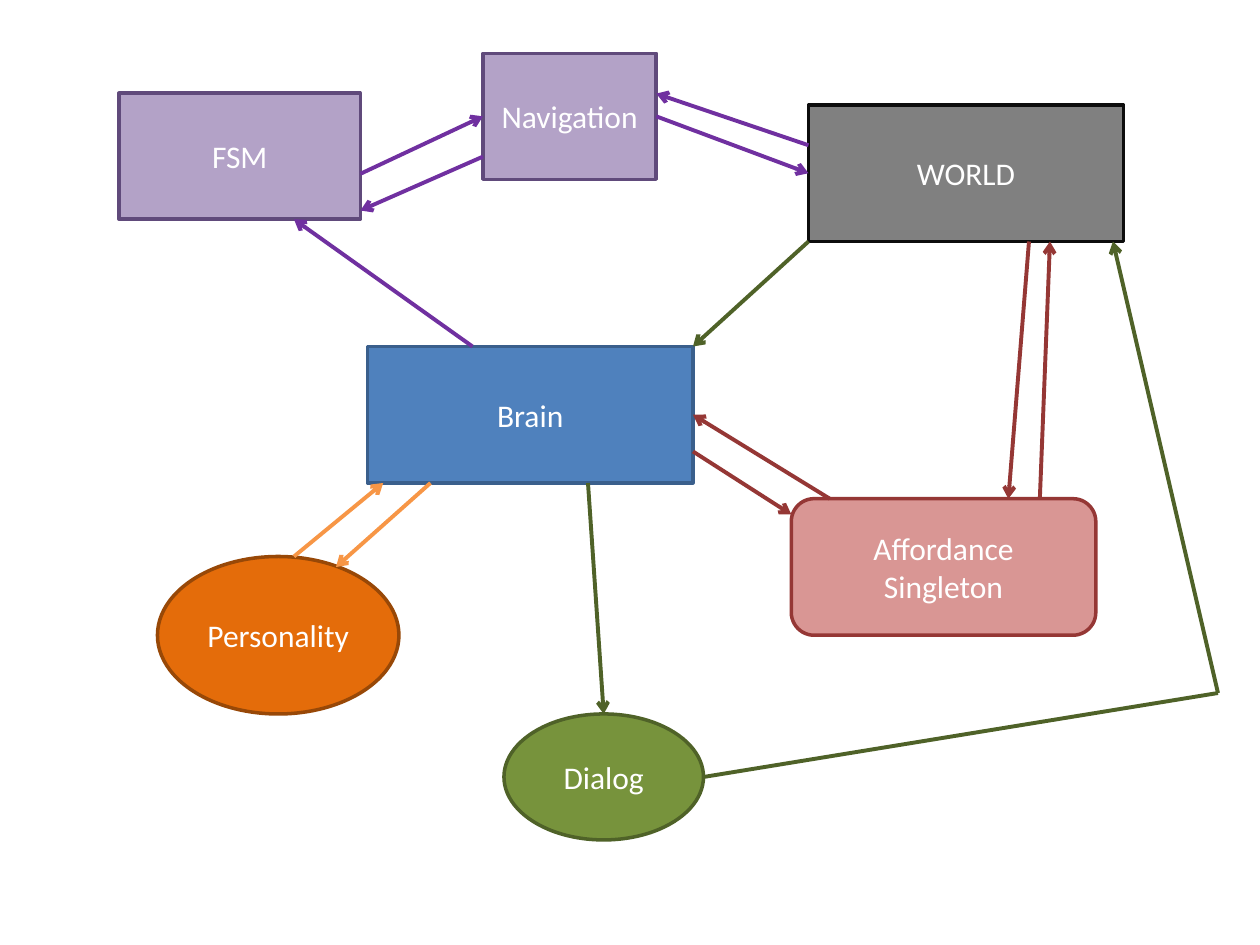
from lxml import etree
from pptx import Presentation
from pptx.dml.color import RGBColor
from pptx.enum import shapes, text
from pptx.oxml import ns
from pptx.util import Pt

WHITE = RGBColor(0xFF, 0xFF, 0xFF)
BLUE, BLUE_EDGE = RGBColor(0x4F, 0x81, 0xBD), RGBColor(0x3A, 0x5F, 0x8C)
ORANGE, ORANGE_EDGE = RGBColor(0xE4, 0x6C, 0x0A), RGBColor(0x98, 0x48, 0x07)
PINK, RED = RGBColor(0xD9, 0x96, 0x94), RGBColor(0x95, 0x37, 0x35)
LILAC, LILAC_EDGE = RGBColor(0xB3, 0xA2, 0xC7), RGBColor(0x60, 0x4A, 0x7B)
GREY, BLACK = RGBColor(0x80, 0x80, 0x80), RGBColor(0x0D, 0x0D, 0x0D)
GREEN, DARK_GREEN = RGBColor(0x77, 0x93, 0x3C), RGBColor(0x4F, 0x62, 0x28)
PURPLE, LIGHT_ORANGE = RGBColor(0x70, 0x30, 0xA0), RGBColor(0xF7, 0x96, 0x46)

RECT = shapes.MSO_SHAPE.RECTANGLE
ROUND = shapes.MSO_SHAPE.ROUNDED_RECTANGLE
OVAL = shapes.MSO_SHAPE.OVAL

LABEL_FONT = {"name": "Calibri", "size": Pt(18)}
LABEL_FRAME = {"word_wrap": True, "vertical_anchor": text.MSO_ANCHOR.MIDDLE}

# name: preset, (left, top, width, height) in points, fill, edge
NODES = {
    "Brain": (RECT, (210, 198, 186, 78), BLUE, BLUE_EDGE),
    "Personality": (OVAL, (90, 318, 138, 90), ORANGE, ORANGE_EDGE),
    "Affordance Singleton": (ROUND, (452.2, 285, 174, 78), PINK, RED),
    "FSM": (RECT, (68, 53.3, 138, 72), LILAC, LILAC_EDGE),
    "WORLD": (RECT, (462, 60, 180, 78), GREY, BLACK),
    "Navigation": (RECT, (276, 30.5, 99, 72), LILAC, LILAC_EDGE),
    "Dialog": (OVAL, (288, 408, 114, 72), GREEN, DARK_GREEN),
}

# Ends are (node, points right, points down) from the node's top left corner.
ARROWS = [
    (("Brain", 36, 78), ("Personality", 102, 6), LIGHT_ORANGE),
    (("Personality", 78, 0), ("Brain", 9, 78), LIGHT_ORANGE),
    (("Brain", 186, 60), ("Affordance Singleton", 0, 9), RED),
    (("Affordance Singleton", 22, 0), ("Brain", 186, 39), RED),
    (("Affordance Singleton", 142, 0), ("WORLD", 138, 78), RED),
    (("WORLD", 126, 78), ("Affordance Singleton", 124, 0), RED),
    (("Brain", 60, 0), ("FSM", 100, 72), PURPLE),
    (("FSM", 138, 46), ("Navigation", 0, 36), PURPLE),
    (("Navigation", 0, 59), ("FSM", 138, 67), PURPLE),
    (("Navigation", 99, 36), ("WORLD", 0, 39), PURPLE),
    (("WORLD", 0, 23), ("Navigation", 99, 23), PURPLE),
    (("WORLD", 0, 78), ("Brain", 186, 0), DARK_GREEN),
    (("Brain", 126, 78), ("Dialog", 57, 0), DARK_GREEN),
]
CORNER = ("Slide", 696, 396)


def set_all(target, values):
    """Set every attribute named in a dict of format values."""
    for name, value in values.items():
        setattr(target, name, value)


def add_node(s, label, preset, box, fill, edge):
    """Draw one labelled node filling its box."""
    sp = s.shapes.add_shape(preset, *(Pt(v) for v in box))
    sp.shadow.inherit = False
    sp.fill.solid()
    sp.fill.fore_color.rgb = fill
    sp.line.color.rgb = edge
    sp.line.width = Pt(2)
    tf = sp.text_frame
    set_all(tf, LABEL_FRAME)
    p = tf.paragraphs[0]
    p.alignment = text.PP_ALIGN.CENTER
    r = p.add_run()
    r.text = label
    set_all(r.font, LABEL_FONT)
    r.font.color.rgb = WHITE


def add_link(s, start, end, color, arrow=True):
    """Draw a straight line between two points, with an open head at its end."""
    sp = s.shapes.add_connector(shapes.MSO_CONNECTOR.STRAIGHT, *start, *end)
    sp.line.color.rgb = color
    sp.line.width = Pt(2.25)
    sp_pr = sp._element.spPr
    if arrow:
        etree.SubElement(sp_pr.find(ns.qn("a:ln")), ns.qn("a:tailEnd"), type="arrow")
    etree.SubElement(sp_pr, ns.qn("a:effectLst"))


def add_diagram(s, box):
    """Draw the nodes and their links inside the given box."""
    x0, y0 = box[:2]
    boxes = {label: (x0 + b[0], y0 + b[1], b[2], b[3])
             for label, (_, b, _, _) in NODES.items()}
    boxes["Slide"] = box

    def point(end):
        """Turn a node and an offset into a point on the slide."""
        label, right, down = end
        left, top = boxes[label][:2]
        return Pt(left + right), Pt(top + down)

    for label, (preset, _, fill, edge) in NODES.items():
        add_node(s, label, preset, boxes[label], fill, edge)
    for start, end, color in ARROWS:
        add_link(s, point(start), point(end), color)
    add_link(s, point(("Dialog", 114, 36)), point(CORNER), DARK_GREEN, arrow=False)
    add_link(s, point(CORNER), point(("WORLD", 174, 78)), DARK_GREEN)


prs = Presentation()
prs.slide_width, prs.slide_height = Pt(720), Pt(540)
s = prs.slides.add_slide(prs.slide_layouts[6])
add_diagram(s, (0, 0, 720, 540))
prs.save("out.pptx")
